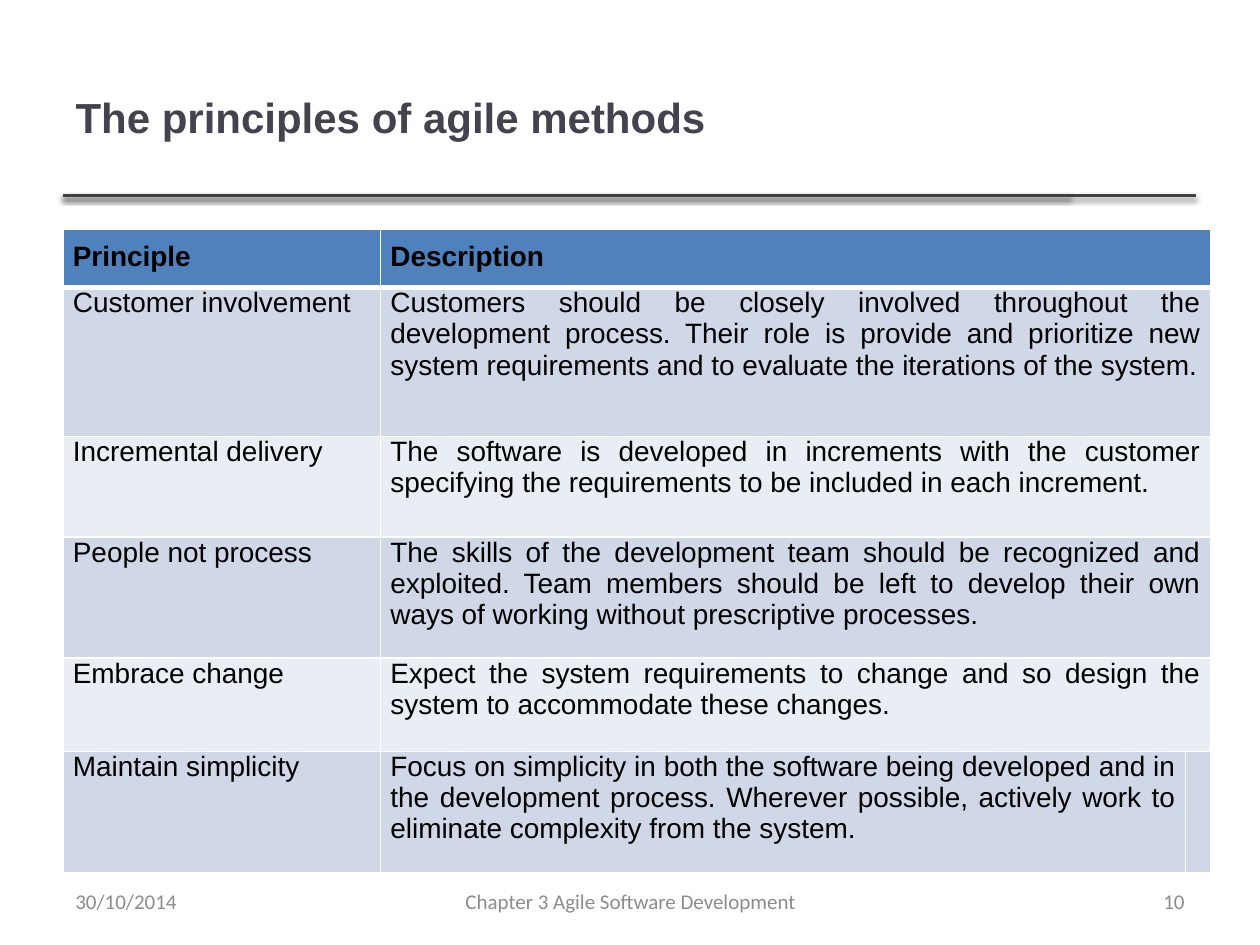
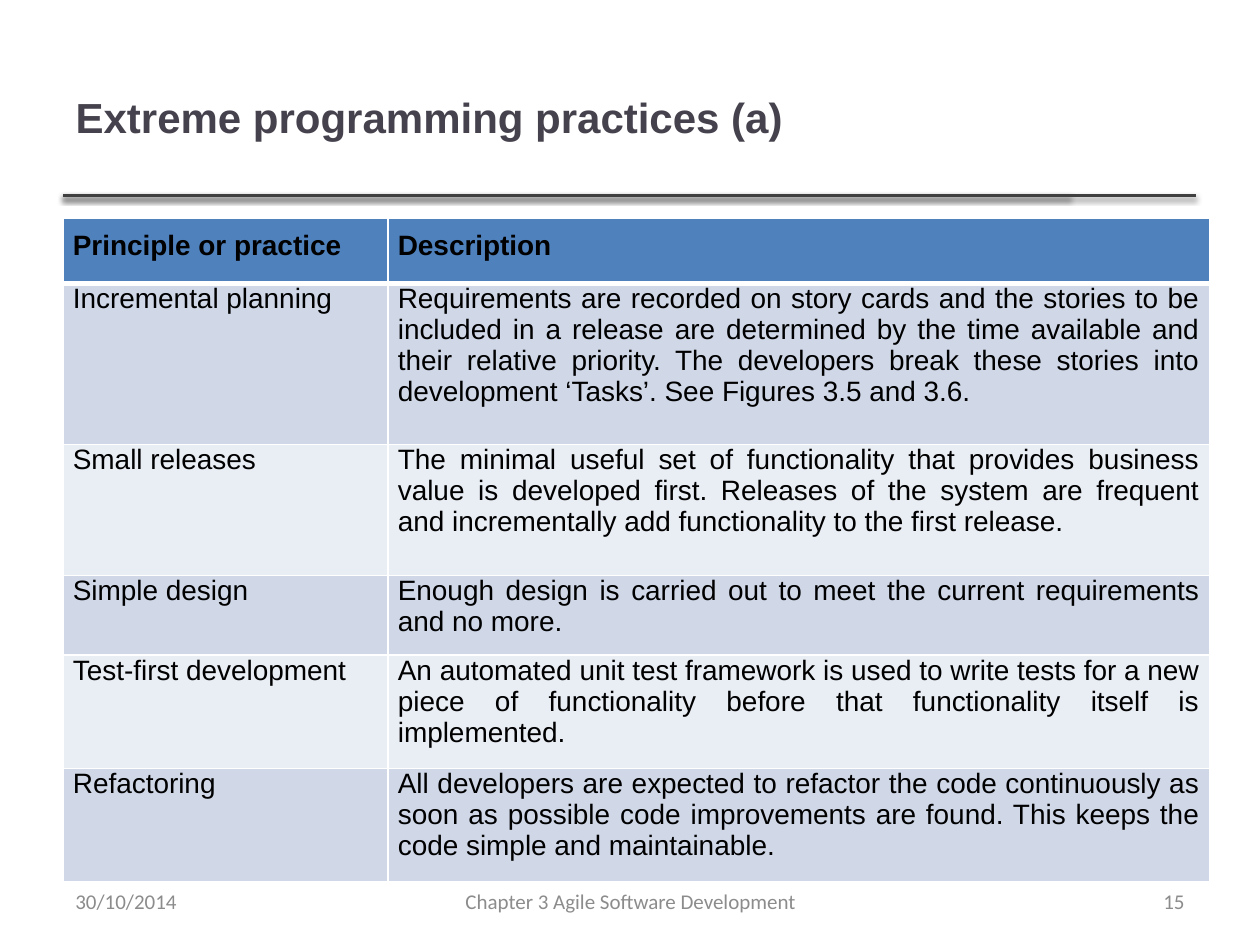
from lxml import etree
from pptx import Presentation
from pptx.dml.color import RGBColor
from pptx.enum.shapes import MSO_CONNECTOR
from pptx.enum.text import MSO_ANCHOR, MSO_AUTO_SIZE, PP_ALIGN
from pptx.oxml import parse_xml
from pptx.oxml.ns import nsdecls
from pptx.util import Cm, Pt

LEFT, CENTER, RIGHT, JUSTIFY = PP_ALIGN.LEFT, PP_ALIGN.CENTER, PP_ALIGN.RIGHT, PP_ALIGN.JUSTIFY
MIDDLE = MSO_ANCHOR.MIDDLE
STRAIGHT = MSO_CONNECTOR.STRAIGHT
TITLE_ONLY = 5

COLORS = {
    "title": "46424D", "rule": "404040", "footer": "8C8C8C", "text": "000000",
    "header": "4F81BD", "odd": "D0D8E8", "even": "E9EDF4", "border": "FFFFFF",
}

# Content: lengths in cm
MARGIN = 1.27
RULE_Y = 3.94
RULE_ENDS = (21.56, 24.1)
DATE = "30/10/2014"
CHAPTER = "Chapter 3 Agile Software Development"

SLIDES = [
    {
        "title": "The principles of agile methods",
        "number": "10",
        "top": 4.62,
        "columns": (6.4, 16.23, 0.36),
        "heights": (1.12, 3.0, 2.03, 2.44, 1.88, 2.44),
        "rows": [
            ("Principle", "Description"),
            ("Customer involvement",
             "Customers should be closely involved throughout the development process. "
             "Their role is provide and prioritize new system requirements and to "
             "evaluate the iterations of the system."),
            ("Incremental delivery",
             "The software is developed in increments with the customer specifying "
             "the requirements to be included in each increment."),
            ("People not process",
             "The skills of the development team should be recognized and exploited. "
             "Team members should be left to develop their own ways of working "
             "without prescriptive processes."),
            ("Embrace change",
             "Expect the system requirements to change and so design the system to "
             "accommodate these changes."),
            ("Maintain simplicity",
             "Focus on simplicity in both the software being developed and in the "
             "development process. Wherever possible, actively work to eliminate "
             "complexity from the system.", ""),
        ],
    },
    {
        "title": "Extreme programming practices (a)",
        "number": "15",
        "top": 4.39,
        "columns": (6.55, 16.56),
        "heights": (1.32, 3.25, 2.64, 1.45, 2.06, 2.06),
        "rows": [
            ("Principle or practice", "Description"),
            ("Incremental planning",
             "Requirements are recorded on story cards and the stories to be included "
             "in a release are determined by the time available and their relative "
             "priority. The developers break these stories into development ‘Tasks’. "
             "See Figures 3.5 and 3.6."),
            ("Small releases",
             "The minimal useful set of functionality that provides business value is "
             "developed first. Releases of the system are frequent and incrementally "
             "add functionality to the first release."),
            ("Simple design",
             "Enough design is carried out to meet the current requirements and no more."),
            ("Test-first development",
             "An automated unit test framework is used to write tests for a new piece "
             "of functionality before that functionality itself is implemented."),
            ("Refactoring",
             "All developers are expected to refactor the code continuously as soon as "
             "possible code improvements are found. This keeps the code simple and "
             "maintainable."),
        ],
    },
]


def rgb(name):
    return RGBColor.from_string(COLORS[name])


def write(frame, text, size, font, color, align, bold=False):
    paragraph = frame.paragraphs[0]
    paragraph.alignment = align
    run = paragraph.add_run()
    run.text = text
    run.font.size = Pt(size)
    run.font.name = font
    run.font.bold = bold
    run.font.color.rgb = rgb(color)


# Shared double rule under the title, kept on the layout
def add_rules(slide):
    for end in RULE_ENDS:
        rule = slide.shapes.add_connector(
            STRAIGHT, Cm(MARGIN), Cm(RULE_Y), Cm(end), Cm(RULE_Y))
        rule.line.color.rgb = rgb("rule")
        rule.line.width = Pt(2)
        rule.element.spPr.append(parse_xml(
            f'<a:effectLst {nsdecls("a")}><a:outerShdw blurRad="{Pt(3.1)}" '
            f'dist="{Pt(1.6)}" dir="5400000" rotWithShape="0"><a:srgbClr val="000000">'
            '<a:alpha val="38000"/></a:srgbClr></a:outerShdw></a:effectLst>'))
        slide.slide_layout.element.cSld.spTree.append(rule.element)


def add_title(slide, text):
    title = slide.shapes.title
    title.left, title.top, title.width, title.height = Cm(MARGIN), Cm(0.76), Cm(20.27), Cm(3.18)
    title.text_frame.vertical_anchor = MIDDLE
    title.text_frame.auto_size = MSO_AUTO_SIZE.NONE
    write(title.text_frame, text, 24, "Arial", "title", LEFT, bold=True)


def add_footers(slide, number):
    for left, width, text, align in (
            (MARGIN, 5.92, DATE, LEFT),
            (8.69, 8.05, CHAPTER, CENTER),
            (18.21, 5.92, number, RIGHT)):
        frame = slide.shapes.add_textbox(Cm(left), Cm(17.65), Cm(width), Cm(1.02)).text_frame
        frame.word_wrap = True
        frame.vertical_anchor = MIDDLE
        write(frame, text, 12, "Calibri", "footer", align)


def set_borders(cell, row):
    # The line between header and body is thicker
    widths = {"lnL": 1, "lnR": 1, "lnT": 3 if row == 1 else 1, "lnB": 3 if row == 0 else 1}
    properties = cell._tc.get_or_add_tcPr()
    for side, width in widths.items():
        line = etree.SubElement(properties, f"{{{properties.nsmap['a']}}}{side}", w=str(Pt(width)))
        line.append(parse_xml(
            f'<a:solidFill {nsdecls("a")}><a:srgbClr val="{COLORS["border"]}"/></a:solidFill>'))


def add_principles(slide, top, columns, heights, rows):
    table = slide.shapes.add_table(
        len(rows), len(columns), Cm(MARGIN), Cm(top),
        Cm(sum(columns)), Cm(sum(heights))).table
    for column, width in zip(table.columns, columns):
        column.width = Cm(width)
    for r, (texts, height) in enumerate(zip(rows, heights)):
        table.rows[r].height = Cm(height)
        header = r == 0
        for c in range(len(columns)):
            cell = table.cell(r, c)
            cell.margin_left = cell.margin_right = Cm(0.2)
            cell.margin_top = Cm(0.25 if header else 0)
            cell.margin_bottom = Cm(0.25)
            set_borders(cell, r)
            cell.fill.solid()
            cell.fill.fore_color.rgb = rgb("header" if header else "odd" if r % 2 else "even")
            if c < len(texts) and texts[c]:
                write(cell.text_frame, texts[c], 16, "Arial", "text", JUSTIFY, bold=header)
        # The last text spans any columns left over
        if len(texts) < len(columns):
            table.cell(r, len(texts) - 1).merge(table.cell(r, len(columns) - 1))


deck = Presentation()
deck.slide_width, deck.slide_height = Cm(25.4), Cm(19.05)
for index, content in enumerate(SLIDES):
    slide = deck.slides.add_slide(deck.slide_layouts[TITLE_ONLY])
    if index == 0:
        add_rules(slide)
    add_title(slide, content["title"])
    add_footers(slide, content["number"])
    add_principles(slide, content["top"], content["columns"], content["heights"], content["rows"])
deck.save("out.pptx")
